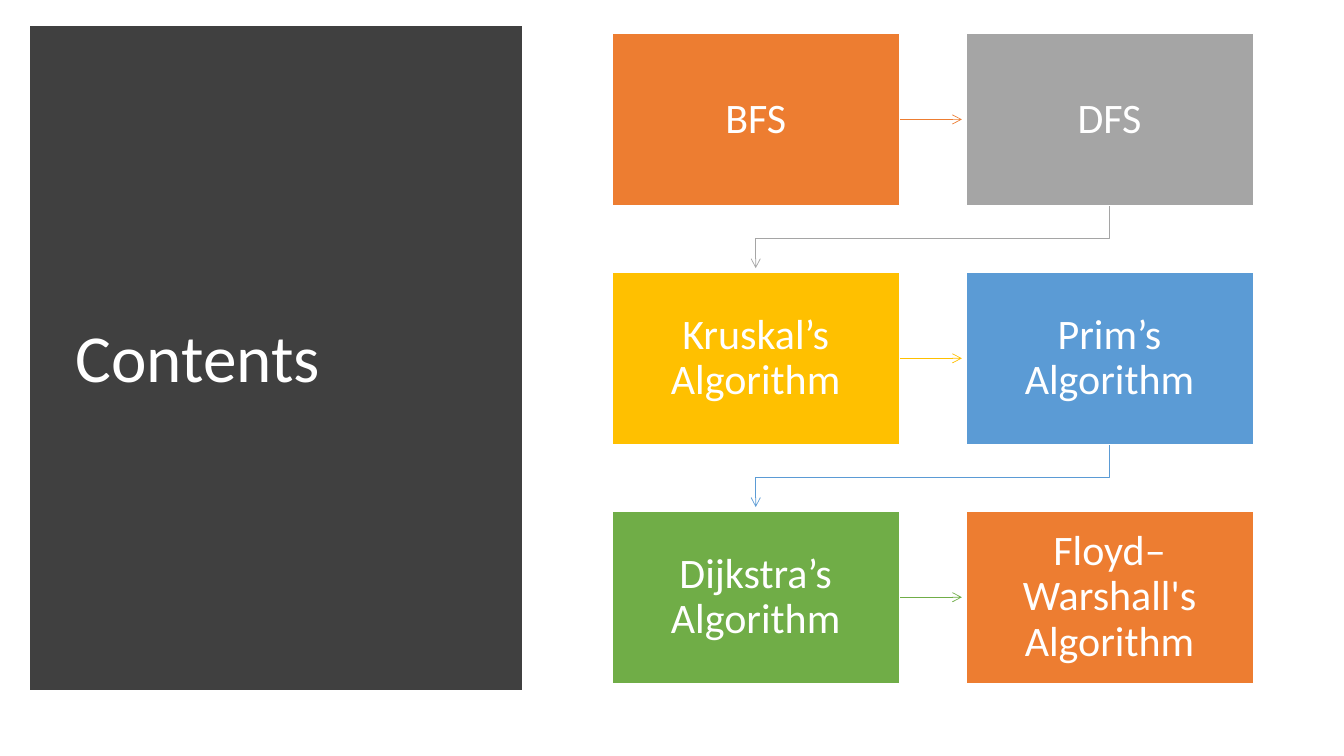
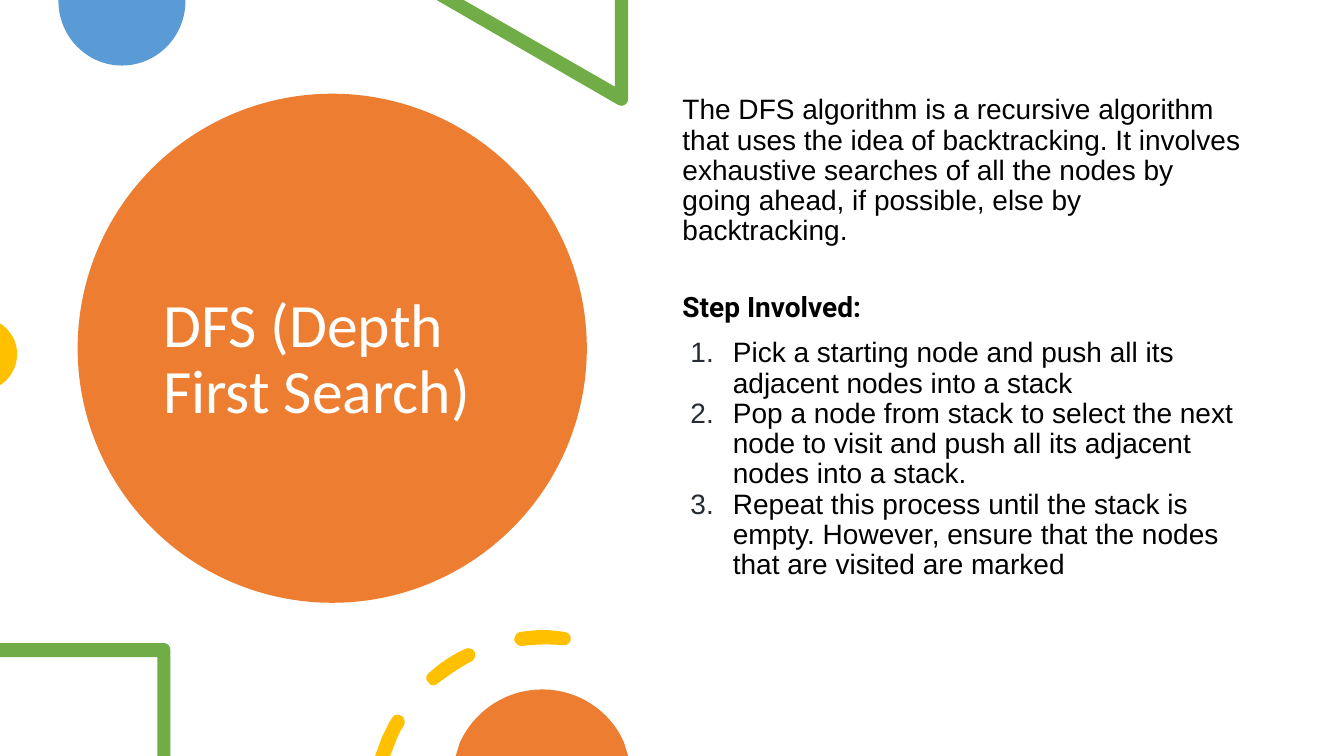
from lxml.etree import SubElement
from pptx import Presentation
from pptx.dml.color import RGBColor
from pptx.enum.shapes import MSO_CONNECTOR, MSO_SHAPE
from pptx.enum.text import MSO_ANCHOR, PP_ALIGN
from pptx.oxml.ns import qn
from pptx.util import Inches, Pt

COLOURS = {
    "orange": "ED7D31",
    "grey": "A5A5A5",
    "yellow": "FFC000",
    "blue": "5B9BD5",
    "green": "70AD47",
    "panel": "404040",
    "white": "FFFFFF",
    "black": "000000",
    "number": "252C33",
}
COLOURS_RGB = {name: RGBColor.from_string(value) for name, value in COLOURS.items()}
UNITS = 1000


def add_run(para, text, size, colour="white", font="Calibri"):
    para.line_spacing = 0.9
    span = para.add_run()
    span.text = text
    span.font.size = Pt(size)
    span.font.name = font
    span.font.color.rgb = COLOURS_RGB[colour]
    return span


def add_outline(page, colour, contours):
    steps = [step for contour in contours for step in contour]
    left = min(step[-2] for step in steps)
    top = min(step[-1] for step in steps)
    builder = None
    for contour in contours:
        corners = [(round(step[-2] * UNITS), round(step[-1] * UNITS)) for step in contour]
        if builder is None:
            builder = page.shapes.build_freeform(*corners[0], scale=Inches(1) / UNITS)
        else:
            builder.move_to(*corners[0])
        builder.add_line_segments(corners[1:], close=True)
    shape = builder.convert_to_shape()
    shape.shadow.inherit = False
    shape.fill.solid()
    shape.fill.fore_color.rgb = COLOURS_RGB[colour]
    shape.line.fill.background()
    segments = [node for node in shape._element.iter(qn("a:moveTo"), qn("a:lnTo"))]
    for segment, step in zip(segments, steps):
        if len(step) == 6:
            curve = segment.getparent().makeelement(qn("a:cubicBezTo"))
            for x, y in zip(step[::2], step[1::2]):
                SubElement(curve, qn("a:pt"), x=str(round((x - left) * UNITS)),
                           y=str(round((y - top) * UNITS)))
            segment.getparent().replace(segment, curve)


deck = Presentation()
deck.slide_width = Inches(13.33)
deck.slide_height = Inches(7.5)
blank = deck.slide_layouts[6]

contents_page = deck.slides.add_slide(blank)
panel = contents_page.shapes.add_shape(
    MSO_SHAPE.RECTANGLE, Inches(0.37), Inches(0.33), Inches(4.74), Inches(6.45))
panel.shadow.inherit = False
panel.fill.solid()
panel.fill.fore_color.rgb = COLOURS_RGB["panel"]
panel.line.color.rgb = COLOURS_RGB["panel"]
panel.line.width = Pt(10)
SubElement(panel.line._get_or_add_ln(), qn("a:miter"), lim="800000")

TOPICS = [
    ("BFS", "orange"),
    ("DFS", "grey"),
    ("Kruskal’s Algorithm", "yellow"),
    ("Prim’s Algorithm", "blue"),
    ("Dijkstra’s Algorithm", "green"),
    ("Floyd–Warshall's Algorithm", "orange"),
]
GRID_LEFT, GRID_TOP = 6.07, 0.33
BOX_WIDTH, BOX_HEIGHT = 2.85, 1.71
COLUMN_STEP, ROW_STEP = 3.51, 2.37
ARROW_LENGTH = 0.62

for index, (topic, colour) in enumerate(TOPICS):
    row, column = divmod(index, 2)
    left = GRID_LEFT + column * COLUMN_STEP
    top = GRID_TOP + row * ROW_STEP
    if index < len(TOPICS) - 1:
        if column == 0:
            start = left + BOX_WIDTH
            middle = top + BOX_HEIGHT / 2
            arrow = contents_page.shapes.add_connector(
                MSO_CONNECTOR.STRAIGHT, Inches(start), Inches(middle),
                Inches(start + ARROW_LENGTH), Inches(middle))
        else:
            centre_x = left + (BOX_WIDTH - COLUMN_STEP) / 2
            centre_y = top + BOX_HEIGHT + ARROW_LENGTH / 2
            arrow = contents_page.shapes.add_connector(
                MSO_CONNECTOR.ELBOW,
                Inches(centre_x - ARROW_LENGTH / 2), Inches(centre_y - COLUMN_STEP / 2),
                Inches(centre_x + ARROW_LENGTH / 2), Inches(centre_y + COLUMN_STEP / 2))
            properties = arrow._element.spPr
            properties.find(qn("a:xfrm")).set("rot", "5400000")
            adjustments = properties.find(qn("a:prstGeom")).find(qn("a:avLst"))
            SubElement(adjustments, qn("a:gd"), name="adj1", fmla="val 53000")
        arrow.line.color.rgb = COLOURS_RGB[colour]
        arrow.line.width = Pt(0.5)
        SubElement(arrow.line._get_or_add_ln(), qn("a:tailEnd"), type="arrow")
        SubElement(arrow._element.spPr, qn("a:effectLst"))

    box = contents_page.shapes.add_shape(
        MSO_SHAPE.RECTANGLE, Inches(left), Inches(top), Inches(BOX_WIDTH), Inches(BOX_HEIGHT))
    box.shadow.inherit = False
    box.fill.solid()
    box.fill.fore_color.rgb = COLOURS_RGB[colour]
    box.line.color.rgb = COLOURS_RGB["white"]
    box.line.width = Pt(1)
    frame = box.text_frame
    frame.word_wrap = True
    frame.vertical_anchor = MSO_ANCHOR.MIDDLE
    frame.margin_left = frame.margin_right = Inches(0.14)
    frame.margin_top = frame.margin_bottom = Inches(0.15)
    frame.paragraphs[0].alignment = PP_ALIGN.CENTER
    add_run(frame.paragraphs[0], topic, 30)

search_page = deck.slides.add_slide(blank)
disc = search_page.shapes.add_shape(
    MSO_SHAPE.OVAL, Inches(0.77), Inches(0.93), Inches(5.05), Inches(5.05))
disc.shadow.inherit = False
disc.fill.solid()
disc.fill.fore_color.rgb = COLOURS_RGB["orange"]
disc.line.fill.background()

DECORATIONS = [
    ("blue", [[(1.84, 0), (0.58, 0), (0.58, 0.01), (0.58, 0.36, 0.86, 0.65, 1.21, 0.65),
               (1.56, 0.65, 1.84, 0.36, 1.84, 0.01)]]),
    ("green", [[(6.23, 0), (6.1, 0), (6.1, 0.86), (4.6, 0), (4.33, 0), (6.13, 1.04),
                (6.14, 1.05, 6.15, 1.05, 6.16, 1.05), (6.2, 1.05, 6.23, 1.02, 6.23, 0.98)]]),
    ("yellow", [[(0, 3.21), (0, 3.82), (0.02, 3.81), (0.11, 3.74, 0.17, 3.64, 0.17, 3.51),
                 (0.17, 3.39, 0.11, 3.29, 0.02, 3.22)]]),
    ("green", [[(1.63, 6.38), (0, 6.38), (0, 6.52), (1.56, 6.52), (1.56, 7.5), (1.69, 7.5),
                (1.69, 6.45), (1.69, 6.41, 1.66, 6.38, 1.63, 6.38)]]),
    ("yellow", [
        [(3.95, 7.09), (3.93, 7.08, 3.9, 7.1, 3.89, 7.12), (3.85, 7.18, 3.82, 7.25, 3.79, 7.31),
         (3.72, 7.5), (3.87, 7.5), (3.92, 7.37), (3.94, 7.31, 3.97, 7.25, 4.01, 7.19),
         (4.02, 7.16, 4.01, 7.11, 3.98, 7.1), (3.97, 7.09, 3.96, 7.09, 3.95, 7.09)],
        [(4.64, 6.43), (4.63, 6.43, 4.62, 6.43, 4.61, 6.44), (4.48, 6.5, 4.36, 6.58, 4.25, 6.68),
         (4.22, 6.7, 4.22, 6.75, 4.25, 6.77), (4.26, 6.79, 4.28, 6.8, 4.3, 6.8),
         (4.32, 6.8, 4.33, 6.79, 4.34, 6.78), (4.45, 6.7, 4.56, 6.62, 4.68, 6.56),
         (4.71, 6.54, 4.72, 6.5, 4.71, 6.47), (4.69, 6.44, 4.67, 6.43, 4.64, 6.43)],
        [(5.38, 6.25), (5.31, 6.25, 5.24, 6.26, 5.16, 6.27), (5.13, 6.27, 5.1, 6.31, 5.1, 6.35),
         (5.11, 6.38, 5.14, 6.41, 5.17, 6.41), (5.32, 6.39, 5.45, 6.39, 5.58, 6.4),
         (5.62, 6.41, 5.65, 6.38, 5.66, 6.35), (5.67, 6.31, 5.64, 6.27, 5.6, 6.27),
         (5.53, 6.26, 5.45, 6.25, 5.38, 6.25)],
    ]),
    ("orange", [[(5.38, 6.84), (5.01, 6.84, 4.7, 7.06, 4.56, 7.37), (4.52, 7.5), (6.23, 7.5),
                 (6.19, 7.37), (6.06, 7.06, 5.74, 6.84, 5.38, 6.84)]]),
]
for colour, contours in DECORATIONS:
    add_outline(search_page, colour, contours)

body = search_page.shapes.add_textbox(Inches(6.67), Inches(0.9), Inches(5.75), Inches(5.35))
frame = body.text_frame
frame.word_wrap = True
add_run(
    frame.paragraphs[0],
    "The DFS algorithm is a recursive algorithm that uses the idea of backtracking. "
    "It involves exhaustive searches of all the nodes by going ahead, if possible, "
    "else by backtracking.",
    20, "black", "Arial")
heading = frame.add_paragraph()
heading.space_before = Pt(33)
add_run(heading, "Step Involved:", 20, "black", "Roboto").font.bold = True

STEPS = [
    "Pick a starting node and push all its adjacent nodes into a stack",
    "Pop a node from stack to select the next node to visit and push all its "
    "adjacent nodes into a stack.",
    "Repeat this process until the stack is empty. However, ensure that the nodes "
    "that are visited are marked",
]
for index, step in enumerate(STEPS):
    para = frame.add_paragraph()
    para.space_before = Pt(0 if index else 11)
    add_run(para, step, 20, "black", "Arial")
    settings = para._p.get_or_add_pPr()
    settings.set("marL", str(Inches(0.5)))
    settings.set("indent", str(-Inches(0.42)))
    SubElement(SubElement(settings, qn("a:buClr")), qn("a:srgbClr"), val=COLOURS["number"])
    SubElement(settings, qn("a:buFont"), typeface="Arial")
    SubElement(settings, qn("a:buAutoNum"), type="arabicPeriod")

TITLES = [
    (contents_page, "Contents", 48, (0.65, 0.7, 4.16, 5.75)),
    (search_page, "DFS (Depth First Search)", 44, (1.52, 1.35, 3.54, 4.45)),
]
for page, text, size, place in TITLES:
    title = page.shapes.add_textbox(*map(Inches, place))
    title.text_frame.word_wrap = True
    title.text_frame.vertical_anchor = MSO_ANCHOR.MIDDLE
    add_run(title.text_frame.paragraphs[0], text, size)

deck.save("out.pptx")
